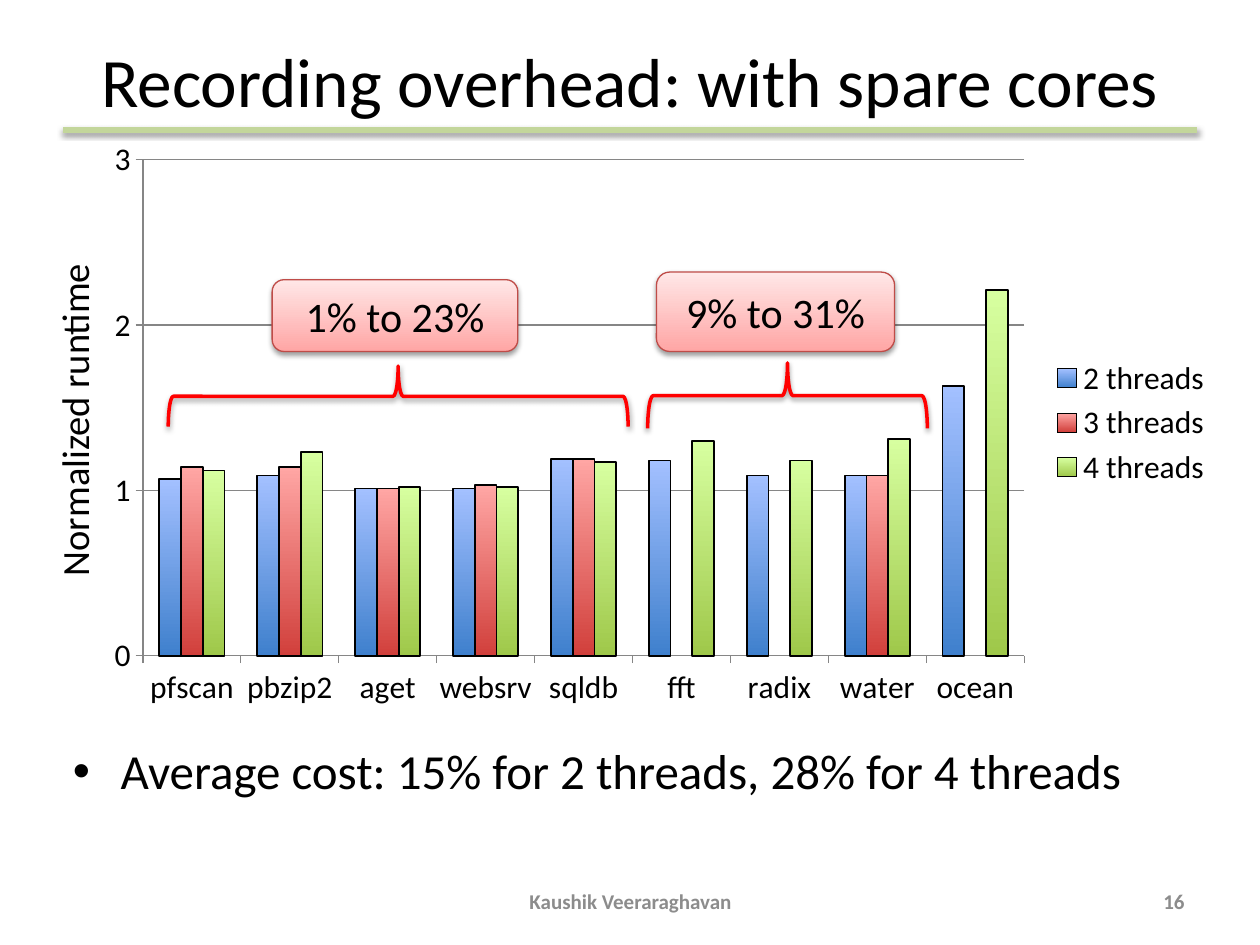
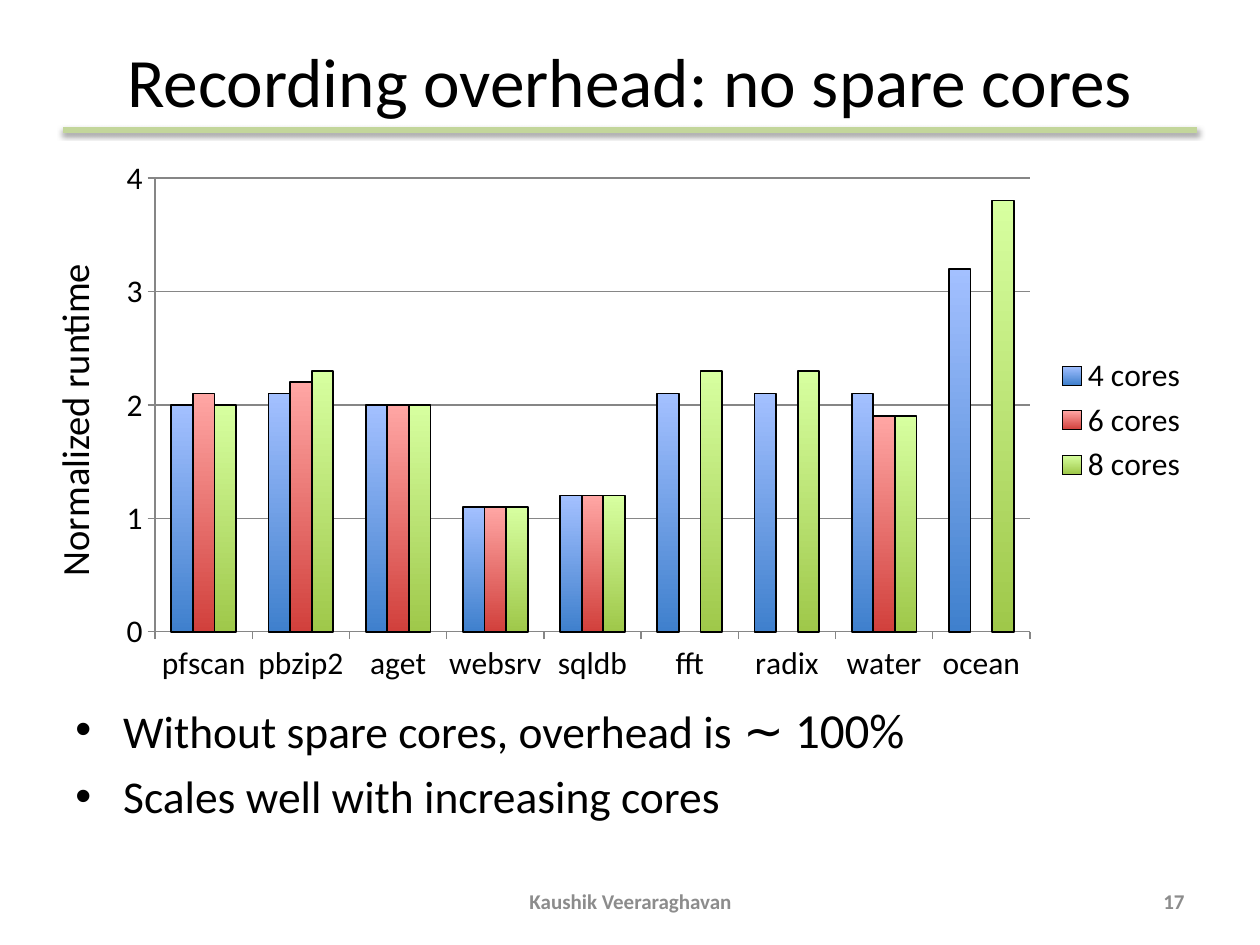
from lxml.etree import SubElement, fromstring
from pptx import Presentation
from pptx.chart.data import CategoryChartData
from pptx.dml.color import RGBColor
from pptx.enum.chart import XL_CHART_TYPE, XL_LEGEND_POSITION, XL_TICK_MARK
from pptx.enum.shapes import MSO_CONNECTOR, MSO_SHAPE
from pptx.enum.text import MSO_ANCHOR, PP_ALIGN
from pptx.oxml.ns import nsdecls, qn
from pptx.util import Inches, Pt

prs = Presentation()
prs.slide_width, prs.slide_height = Inches(10), Inches(7.5)
COL, ROW = prs.slide_width / 20, prs.slide_height / 15

FONT = "Calibri"
COLORS = {"text": "000000", "footer": "8C8C8C", "rule": "C3D69B", "grid": "868686",
          "brace": "FF0000", "callout_line": "BF4C48"}
BAR_GRADIENTS = [("3F80CD", "A3C0FF"), ("D1403C", "FFA6A4"), ("9FC84A", "D7FFA0")]
CALLOUT_GRADIENT = ("FFA6A5", "FFE7E7")
RGB = {name: RGBColor.from_string(value) for name, value in COLORS.items()}
CATEGORIES = ["pfscan", "pbzip2", "aget", "websrv", "sqldb", "fft", "radix", "water", "ocean"]

# Boxes are (left, top, width, height) in columns and rows; plot boxes are shares of the chart
SLIDES = [
    {"title": "Recording overhead: with spare cores", "number": "16",
     "chart": (1.46, 2.04, 17.98, 9.34), "plot": (0.045, 0.053, 0.778, 0.843), "max": 3,
     "series": {"2 threads": (1.07, 1.09, 1.01, 1.01, 1.19, 1.18, 1.09, 1.09, 1.63),
                "3 threads": (1.14, 1.14, 1.01, 1.03, 1.19, None, None, 1.09, None),
                "4 threads": (1.12, 1.23, 1.02, 1.02, 1.17, 1.3, 1.18, 1.31, 2.21)},
     "body": (0.96, 11.66, 18, 1.3),
     "bullets": [[("Average cost: 15% for 2 threads, 28% for 4 threads", 28, FONT)]],
     "callouts": [("1% to 23%", (4.32, 4.44, 3.9, 1.14), (5.84, 2.64, 0.96, 7.3)),
                  ("9% to 31%", (10.42, 4.32, 3.78, 1.26), (11.98, 4.06, 1.04, 4.44))]},
    {"title": "Recording overhead: no spare cores", "number": "17",
     "chart": (1.68, 2.34, 17.38, 8.66), "plot": (0.045, 0.056, 0.799, 0.832), "max": 4,
     "series": {"4 cores": (2, 2.1, 2, 1.1, 1.2, 2.1, 2.1, 2.1, 3.2),
                "6 cores": (2.1, 2.2, 2, 1.1, 1.2, None, None, 1.9, None),
                "8 cores": (2, 2.3, 2, 1.1, 1.2, 2.3, 2.3, 1.9, 3.8)},
     "body": (1, 11, 18, 2.4),
     "bullets": [[("Without spare cores, overhead is ", 26, FONT), ("∼", 28, "Arial"),
                  (" 100%", 28, FONT)],
                 [("Scales well with increasing cores", 26, FONT)]],
     "callouts": []},
]


def grid(box):
    left, top, width, height = box
    return int(left * COL), int(top * ROW), int(width * COL), int(height * ROW)


def write(sp, text, size, align=PP_ALIGN.CENTER, color="text", bold=False):
    tf = sp.text_frame
    tf.text = text
    tf.word_wrap = True
    tf.vertical_anchor = MSO_ANCHOR.MIDDLE
    p = tf.paragraphs[0]
    p.alignment = align
    font = p.runs[0].font
    font.name, font.size, font.bold = FONT, Pt(size), bold
    font.color.rgb = RGB[color]


for spec_row in SLIDES:
    s = prs.slides.add_slide(prs.slide_layouts[6])
    shadowed = []

    # Title and rule
    write(s.shapes.add_textbox(*grid((1, 0.6, 18, 1.32))), spec_row["title"], 39.6)
    rule = s.shapes.add_connector(MSO_CONNECTOR.STRAIGHT, int(COL), int(2.06 * ROW),
                                  int(19 * COL), int(2.06 * ROW))
    rule.line.color.rgb, rule.line.width = RGB["rule"], Pt(3.5)
    shadowed.append(rule)

    # Chart data and frame
    data = CategoryChartData()
    data.categories = CATEGORIES
    for name, values in spec_row["series"].items():
        data.add_series(name, values)
    chart = s.shapes.add_chart(XL_CHART_TYPE.COLUMN_CLUSTERED, *grid(spec_row["chart"]), data).chart
    chart.has_title = False
    chart.font.name, chart.font.size = FONT, Pt(18)
    chart.font.color.rgb = RGB["text"]
    chart.has_legend = True
    chart.legend.position = XL_LEGEND_POSITION.RIGHT
    chart.legend.include_in_layout = False

    # Bars
    plot = chart.plots[0]
    plot.gap_width, plot.overlap, plot.vary_by_categories = 150, 0, False
    for series, stops in zip(plot.series, BAR_GRADIENTS):
        fill = series.format.fill
        fill.gradient()
        fill.gradient_angle = 90
        for stop, color in zip(fill.gradient_stops, stops):
            stop.color.rgb = RGBColor.from_string(color)
        series.format.line.color.rgb, series.format.line.width = RGB["text"], Pt(1)

    # Axes
    values_axis = chart.value_axis
    values_axis.minimum_scale, values_axis.maximum_scale = 0, spec_row["max"]
    values_axis.major_unit = 1
    values_axis.has_major_gridlines = True
    for axis in (chart.category_axis, values_axis):
        axis.major_tick_mark = XL_TICK_MARK.OUTSIDE
    for line in (chart.category_axis.format.line, values_axis.format.line,
                 values_axis.major_gridlines.format.line):
        line.color.rgb, line.width = RGB["grid"], Pt(0.75)

    # Fixed plot area
    area = plot._element.getparent()
    for old in area.findall(qn("c:layout")):
        area.remove(old)
    layout = fromstring(f'<c:layout {nsdecls("c")}><c:manualLayout/></c:layout>')
    area.insert(0, layout)
    settings = [("layoutTarget", "inner"), ("xMode", "edge"), ("yMode", "edge")]
    for tag, value in settings + list(zip("xywh", spec_row["plot"])):
        SubElement(layout[0], qn(f"c:{tag}")).set("val", str(value))

    # Axis caption
    caption = s.shapes.add_textbox(*grid((-1.54, 6.16, 5.42, 0.94)))
    write(caption, "Normalized runtime", 22, PP_ALIGN.LEFT)
    caption.text_frame.word_wrap = False
    caption.rotation = 270

    # Bullets
    tf = s.shapes.add_textbox(*grid(spec_row["body"])).text_frame
    tf.word_wrap = True
    for i, runs in enumerate(spec_row["bullets"]):
        p = tf.add_paragraph() if i else tf.paragraphs[0]
        p.space_before = Pt(6)
        pPr = p._p.get_or_add_pPr()
        pPr.set("marL", str(Inches(0.38)))
        pPr.set("indent", str(-Inches(0.38)))
        SubElement(pPr, qn("a:buFont")).set("typeface", "Arial")
        SubElement(pPr, qn("a:buChar")).set("char", "•")
        for text, size, font in runs:
            r = p.add_run()
            r.text = text
            r.font.name, r.font.size = font, Pt(size)
            r.font.color.rgb = RGB["text"]

    # Callouts with braces
    for text, box, brace_box in spec_row["callouts"]:
        brace = s.shapes.add_shape(MSO_SHAPE.RIGHT_BRACE, *grid(brace_box))
        brace.rotation = 270
        brace.fill.background()
        brace.line.color.rgb, brace.line.width = RGB["brace"], Pt(2)
        sp = s.shapes.add_shape(MSO_SHAPE.ROUNDED_RECTANGLE, *grid(box))
        sp.fill.gradient()
        sp.fill.gradient_angle = 90
        for stop, color in zip(sp.fill.gradient_stops, CALLOUT_GRADIENT):
            stop.color.rgb = RGBColor.from_string(color)
        sp.line.color.rgb, sp.line.width = RGB["callout_line"], Pt(0.75)
        write(sp, text, 24)
        shadowed += [brace, sp]

    # Soft shadows
    for sp in shadowed:
        effects = SubElement(sp._element.spPr, qn("a:effectLst"))
        effects.append(fromstring(
            f'<a:outerShdw {nsdecls("a")} blurRad="{Pt(3.1)}" dist="{Pt(1.6)}" dir="5400000" '
            'rotWithShape="0"><a:srgbClr val="000000"><a:alpha val="38000"/></a:srgbClr>'
            '</a:outerShdw>'))

    # Footer
    for text, box, align in (("Kaushik Veeraraghavan", (6.84, 13.9, 6.34, 0.8), PP_ALIGN.CENTER),
                             (spec_row["number"], (14.34, 13.9, 4.66, 0.8), PP_ALIGN.RIGHT)):
        write(s.shapes.add_textbox(*grid(box)), text, 12, align, "footer", True)

prs.save("out.pptx")
